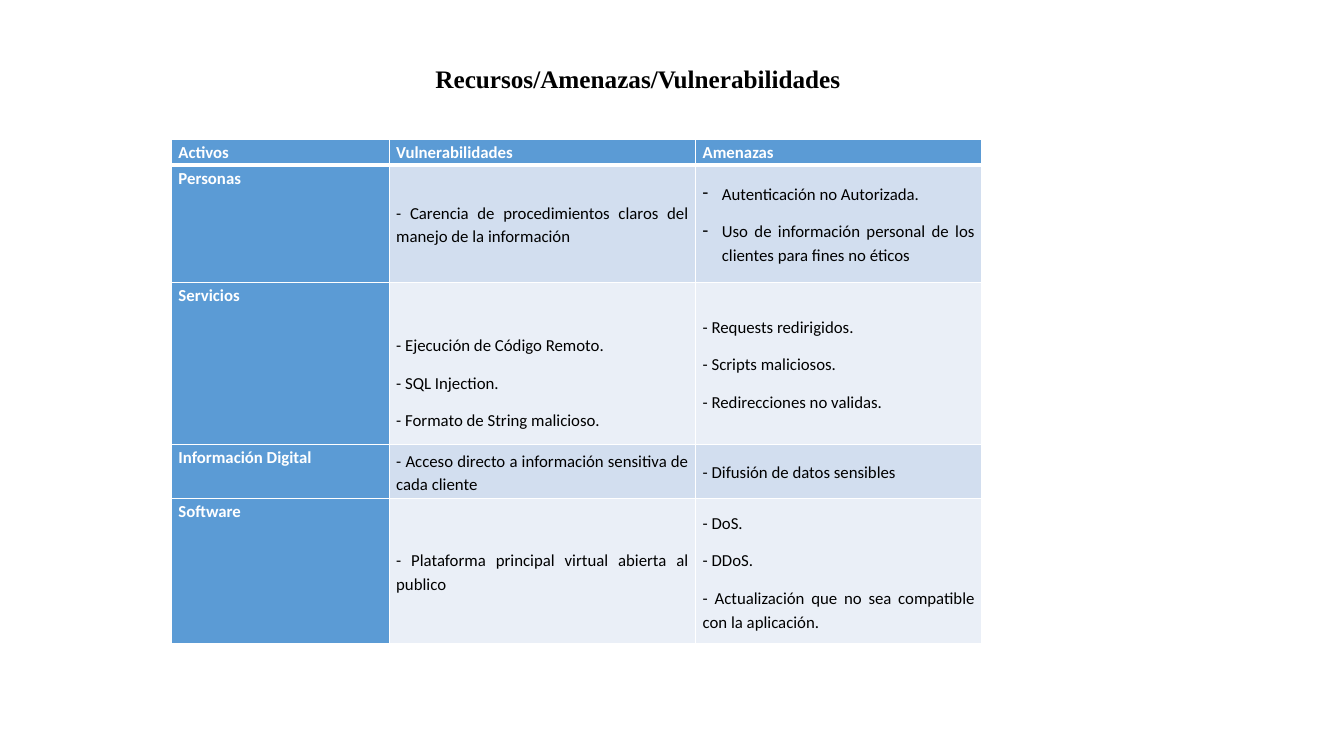
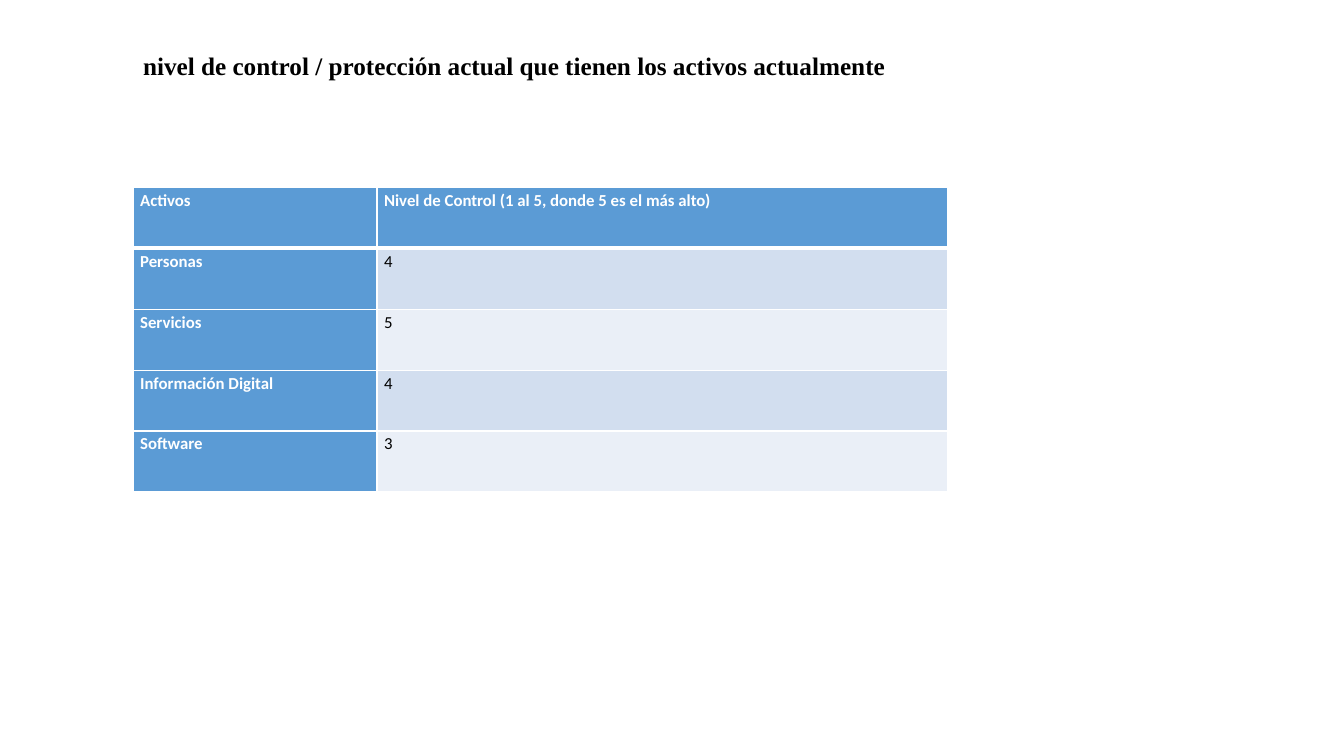
"""Build two slides of asset risk and control tables."""
from dataclasses import dataclass

from lxml.etree import SubElement
from pptx import Presentation
from pptx.dml.color import RGBColor
from pptx.enum.text import MSO_ANCHOR, MSO_AUTO_SIZE, PP_ALIGN
from pptx.oxml import parse_xml
from pptx.oxml.ns import nsdecls, qn
from pptx.util import Emu, Inches, Pt


@dataclass
class Cell:
    """Body cell with one paragraph per line."""
    lines: tuple
    bullet: bool = False
    top: float = 0


HEAD, BANDS = "5B9BD5", ("EAEFF7", "D2DEEF")
WHITE, BLACK = "FFFFFF", "000000"
ASSETS = ("Personas", "Servicios", "Información Digital", "Software")
RISKS = (
    (Cell(("- Carencia de procedimientos claros del manejo de la información",)),
     Cell(("Autenticación no Autorizada.",
           "Uso de información personal de los clientes para fines no éticos"), bullet=True)),
    (Cell(("- Ejecución de Código Remoto.", "- SQL Injection.",
           "- Formato de String malicioso."), top=0.37),
     Cell(("- Requests redirigidos.", "- Scripts maliciosos.", "- Redirecciones no validas."))),
    (Cell(("- Acceso directo a información sensitiva de cada cliente",)),
     Cell(("- Difusión de datos sensibles",))),
    (Cell(("- Plataforma principal virtual abierta al publico",)),
     Cell(("- DoS.", "- DDoS.", "- Actualización que no sea compatible con la aplicación."))),
)
LEVELS = [(Cell((level,)),) for level in "4543"]
SLIDES = (
    dict(title="Recursos/Amenazas/Vulnerabilidades", box=(4.22, 0.58, 4.32, 0.4), wrap=False,
         head=("Activos", "Vulnerabilidades", "Amenazas"), body=RISKS, at=(1.7, 1.38),
         cols=(2.16, 3.04, 2.84), rows=(0.26, 1.16, 1.61, 0.54, 1.44), anchor=MSO_ANCHOR.MIDDLE),
    dict(title="nivel de control / protección actual que tienen los activos actualmente",
         box=(1.32, 0.41, 8.42, 0.45), wrap=True,
         head=("Activos", "Nivel de Control (1 al 5, donde 5 es el más alto)"), body=LEVELS,
         at=(1.32, 1.86), cols=(2.42, 5.66), rows=(0.604,) * 5, anchor=MSO_ANCHOR.TOP),
)


def rgb(value):
    return RGBColor.from_string(value)


def justify(p):
    p.alignment, p.line_spacing, p.space_after = PP_ALIGN.JUSTIFY, 1.15, Pt(10)


def add_run(p, text, font, size, color, bold):
    r = p.add_run()
    r.text = text
    r.font.name, r.font.size, r.font.bold = font, Pt(size), bold
    r.font.color.rgb = rgb(color)


def add_bullet(p):
    pPr = p._p.get_or_add_pPr()
    pPr.set("marL", str(Inches(0.19)))
    pPr.set("indent", str(-Inches(0.19)))
    SubElement(pPr, qn("a:buChar")).set("char", "-")


def set_borders(cell, top, bottom):
    tcPr = cell._tc.get_or_add_tcPr()
    for i, (side, width) in enumerate(zip("LRTB", (1, 1, top, bottom))):
        tcPr.insert(i, parse_xml(
            f'<a:ln{side} {nsdecls("a")} w="{Pt(width)}"><a:solidFill>'
            f'<a:srgbClr val="{WHITE}"/></a:solidFill></a:ln{side}>'))


def fill_cell(cell, content, fill, color, bold, anchor):
    cell.fill.solid()
    cell.fill.fore_color.rgb = rgb(fill)
    cell.margin_left = cell.margin_right = Inches(0.07)
    cell.margin_top, cell.margin_bottom = Inches(content.top), 0
    cell.vertical_anchor = anchor
    tf = cell.text_frame
    for i, line in enumerate(content.lines):
        p = tf.add_paragraph() if i else tf.paragraphs[0]
        justify(p)
        if content.bullet:
            add_bullet(p)
        add_run(p, line, "Calibri", 12, color, bold)


def add_title(s, title, box, wrap):
    tf = s.shapes.add_textbox(*map(Inches, box)).text_frame
    tf.word_wrap, tf.auto_size = wrap, MSO_AUTO_SIZE.SHAPE_TO_FIT_TEXT
    p = tf.paragraphs[0]
    if wrap:
        justify(p)
    add_run(p, title, "Times New Roman", 18, BLACK, True)


def add_grid(s, head, body, at, cols, rows, anchor):
    size = Inches(sum(cols)), Inches(sum(rows))
    table = s.shapes.add_table(len(rows), len(cols), *map(Inches, at), *size).table
    table.first_row = table.horz_banding = False
    for column, width in zip(table.columns, cols):
        column.width = Emu(Inches(width))
    for row, height in zip(table.rows, rows):
        row.height = Emu(Inches(height))
    grid = [[Cell((text,)) for text in head]]
    grid += [[Cell((asset,)), *cells] for asset, cells in zip(ASSETS, body)]
    for i, line in enumerate(grid):
        for j, content in enumerate(line):
            cell = table.cell(i, j)
            if i and j:
                fill_cell(cell, content, BANDS[i % 2], BLACK, False, anchor)
            else:
                fill_cell(cell, content, HEAD, WHITE, True, MSO_ANCHOR.TOP)
            set_borders(cell, 3 if i == 1 else 1, 3 if i == 0 else 1)


def main():
    prs = Presentation()
    prs.slide_width, prs.slide_height = Inches(13.33), Inches(7.5)
    for page in SLIDES:
        s = prs.slides.add_slide(prs.slide_layouts[6])
        add_title(s, page["title"], page["box"], page["wrap"])
        add_grid(s, *(page[key] for key in ("head", "body", "at", "cols", "rows", "anchor")))
    prs.save("out.pptx")


if __name__ == "__main__":
    main()
